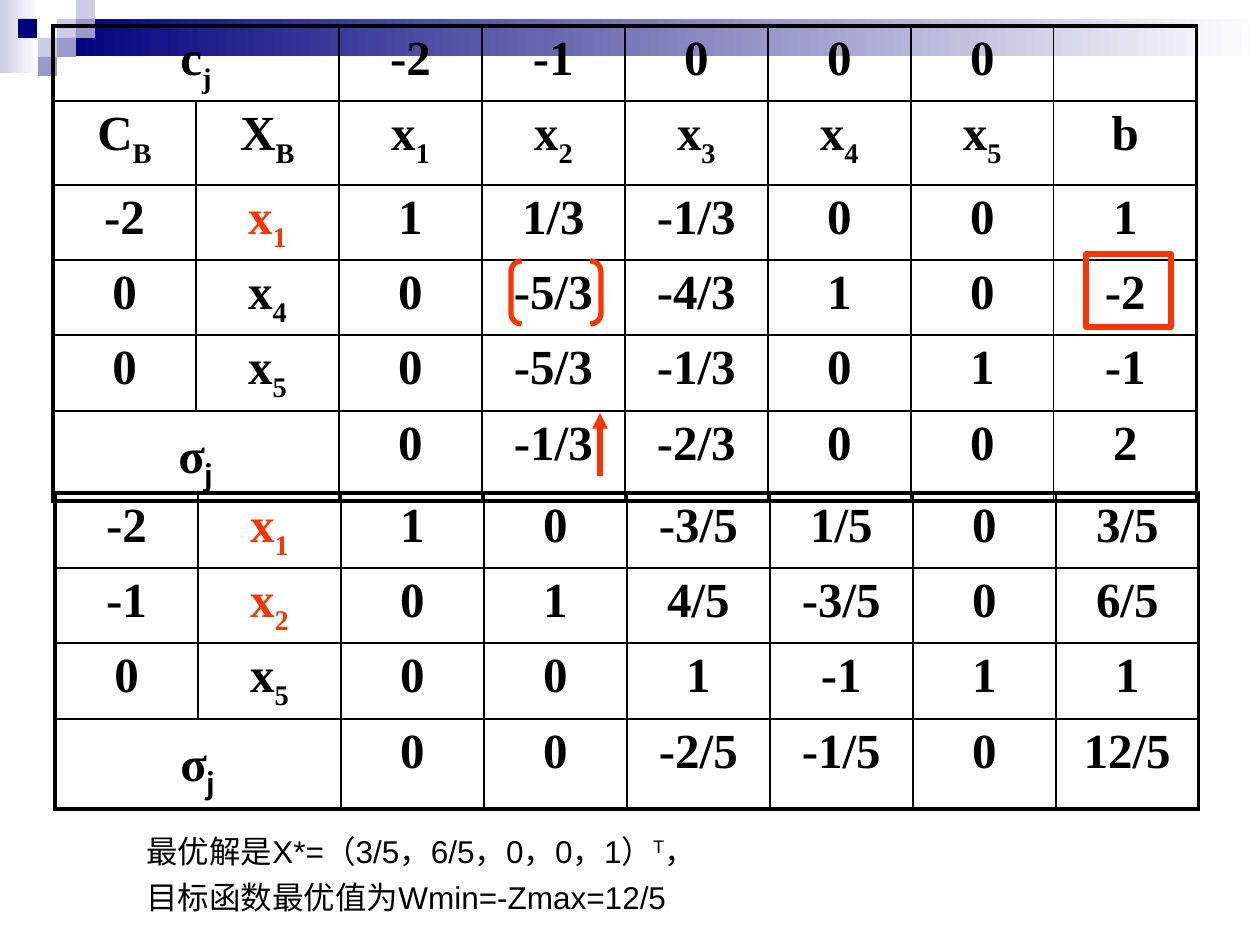
from dataclasses import dataclass

from lxml import etree
from pptx import Presentation, util as u
from pptx.dml.color import RGBColor
from pptx.enum import shapes, text
from pptx.oxml import ns

SCALE = 914400 / 126
INK = {"black": "000000", "red": "FF3300", "navy": "00007D",
       "mid": "9999CC", "pale": "CCCCE6", "white": "FFFFFF"}
SERIF, SANS, CJK = "Times New Roman", "Arial", "Noto Sans CJK SC"
COL = 143
UNIT = 19


@dataclass
class Grid:
    left: int
    top: int
    rows: list[str]
    sizes: list[int]
    spans: set[int]
    reds: set[int]


@dataclass
class Tile:
    left: int
    top: int
    ink: str


GRIDS = [
    Grid(53, 26, [
        "c_j||-2|-1|0|0|0|",
        "C_B|X_B|x_1|x_2|x_3|x_4|x_5|b",
        "-2|x_1|1|1/3|-1/3|0|0|1",
        "0|x_4|0|-5/3|-4/3|1|0|-2",
        "0|x_5|0|-5/3|-1/3|0|1|-1",
        "σ_j||0|-1/3|-2/3|0|0|2",
    ], [75, 84, 75, 75, 76, 90], {0, 5}, {2}),
    Grid(55, 493, [
        "-2|x_1|1|0|-3/5|1/5|0|3/5",
        "-1|x_2|0|1|4/5|-3/5|0|6/5",
        "0|x_5|0|0|1|-1|1|1",
        "σ_j||0|0|-2/5|-1/5|0|12/5",
    ], [75, 75, 76, 90], {3}, {0, 1}),
]

TILES = [
    Tile(57, 19, "pale"), Tile(76, 0, "pale"), Tile(76, 19, "mid"),
    Tile(38, 38, "pale"), Tile(18, 19, "navy"), Tile(57, 38, "mid"),
    Tile(38, 57, "mid"),
]


def px(*nums: int) -> list[u.Emu]:
    return [u.Emu(round(n * SCALE)) for n in nums]


def rgb(ink: str) -> RGBColor:
    return RGBColor.from_string(INK[ink])


def block(slide, kind, box: tuple):
    shape = slide.shapes.add_shape(kind, *px(*box))
    shape.shadow.inherit = False
    return shape


def fade(slide, box: tuple, ink: str) -> None:
    shape = block(slide, shapes.MSO_SHAPE.RECTANGLE, box)
    shape.line.fill.background()
    shape.fill.gradient()
    shape.fill.gradient_angle = 0
    for stop, name in zip(shape.fill.gradient_stops, (ink, "white")):
        stop.color.rgb = rgb(name)


def tile(slide, item: Tile) -> None:
    box = (item.left, item.top, UNIT, UNIT)
    shape = block(slide, shapes.MSO_SHAPE.RECTANGLE, box)
    shape.line.fill.background()
    shape.fill.solid()
    shape.fill.fore_color.rgb = rgb(item.ink)


def pen(line) -> None:
    line.color.rgb = rgb("red")
    line.width = u.Pt(3)


def mark(slide, kind, box: tuple):
    shape = block(slide, kind, box)
    shape.fill.background()
    pen(shape.line)
    return shape


def border(cell, sides: dict[str, float]) -> None:
    prop = cell._tc.get_or_add_tcPr()
    for spot, (side, size) in enumerate(sides.items()):
        line = etree.Element(ns.qn(f"a:ln{side}"), w=str(u.Pt(size)))
        fill = etree.SubElement(line, ns.qn("a:solidFill"))
        etree.SubElement(fill, ns.qn("a:srgbClr"), val=INK["black"])
        prop.insert(spot, line)


def write(cell, words: str, ink: str) -> None:
    para = cell.text_frame.paragraphs[0]
    para.alignment = text.PP_ALIGN.CENTER
    for spot, part in enumerate(words.split("_")):
        run = para.add_run()
        run.text = part
        font = run.font
        font.name = CJK if spot and words[0] == "σ" else SERIF
        font.size = u.Pt(28)
        font.bold = True
        font.color.rgb = rgb(ink)
        if spot:
            font._element.set("baseline", "-25000")


def draw(slide, grid: Grid) -> None:
    data = [row.split("|") for row in grid.rows]
    high, wide = len(data), len(data[0])
    frame = slide.shapes.add_table(
        high, wide, *px(grid.left, grid.top, COL * wide, sum(grid.sizes)))
    table = frame.table
    table.first_row = table.horz_banding = False
    for col in table.columns:
        col.width = px(COL)[0]
    for r, row in enumerate(data):
        table.rows[r].height = px(grid.sizes[r])[0]
        if r in grid.spans:
            table.cell(r, 0).merge(table.cell(r, 1))
        for c, words in enumerate(row):
            cell = table.cell(r, c)
            cell.fill.background()
            edges = {"L": c == 0, "R": c == wide - 1,
                     "T": r == 0, "B": r == high - 1}
            border(cell, {k: 2.25 if v else 1 for k, v in edges.items()})
            if words:
                red = c == 1 and r in grid.reds
                write(cell, words, "red" if red else "black")


def arrow(slide, start: tuple, end: tuple) -> None:
    line = slide.shapes.add_connector(
        shapes.MSO_CONNECTOR.STRAIGHT, *px(*start, *end))
    pen(line.line)
    etree.SubElement(line.line._get_or_add_ln(), ns.qn("a:tailEnd"),
                     type="triangle")
    etree.SubElement(line._element.spPr, ns.qn("a:effectLst"))


def answer(slide) -> None:
    box = slide.shapes.add_textbox(*px(134, 809, 886, 136))
    frame = box.text_frame
    frame.word_wrap = True
    frame.vertical_anchor = text.MSO_ANCHOR.MIDDLE
    lines = [["最优解是X*=（3/5，6/5，0，0，1）", "T", "，"],
             ["目标函数最优值为Wmin=-Zmax=12/5"]]
    for spot, parts in enumerate(lines):
        para = frame.add_paragraph() if spot else frame.paragraphs[0]
        para.line_spacing = 0.8
        if spot:
            para.space_before = u.Pt(9)
        for part in parts:
            run = para.add_run()
            run.text = part
            font = run.font
            font.name = SANS
            font.size = u.Pt(18)
            font.color.rgb = rgb("black")
            etree.SubElement(font._element, ns.qn("a:ea"), typeface=CJK)
            if part == "T":
                font._element.set("baseline", "30000")


def main() -> None:
    deck = Presentation()
    deck.slide_width, deck.slide_height = px(1260, 945)
    slide = deck.slides.add_slide(deck.slide_layouts[6])
    fade(slide, (0, 0, 39, 73), "pale")
    fade(slide, (57, 19, 1203, 37), "navy")
    for item in TILES:
        tile(slide, item)
    for grid in GRIDS:
        draw(slide, grid)
    answer(slide)
    mark(slide, shapes.MSO_SHAPE.RECTANGLE, (1086, 254, 85, 73))
    arrow(slide, (600, 476), (600, 413))
    pair = mark(slide, shapes.MSO_SHAPE.DOUBLE_BRACKET, (511, 261, 90, 63))
    pair.adjustments[0] = 0.17
    deck.save("out.pptx")


if __name__ == "__main__":
    main()
